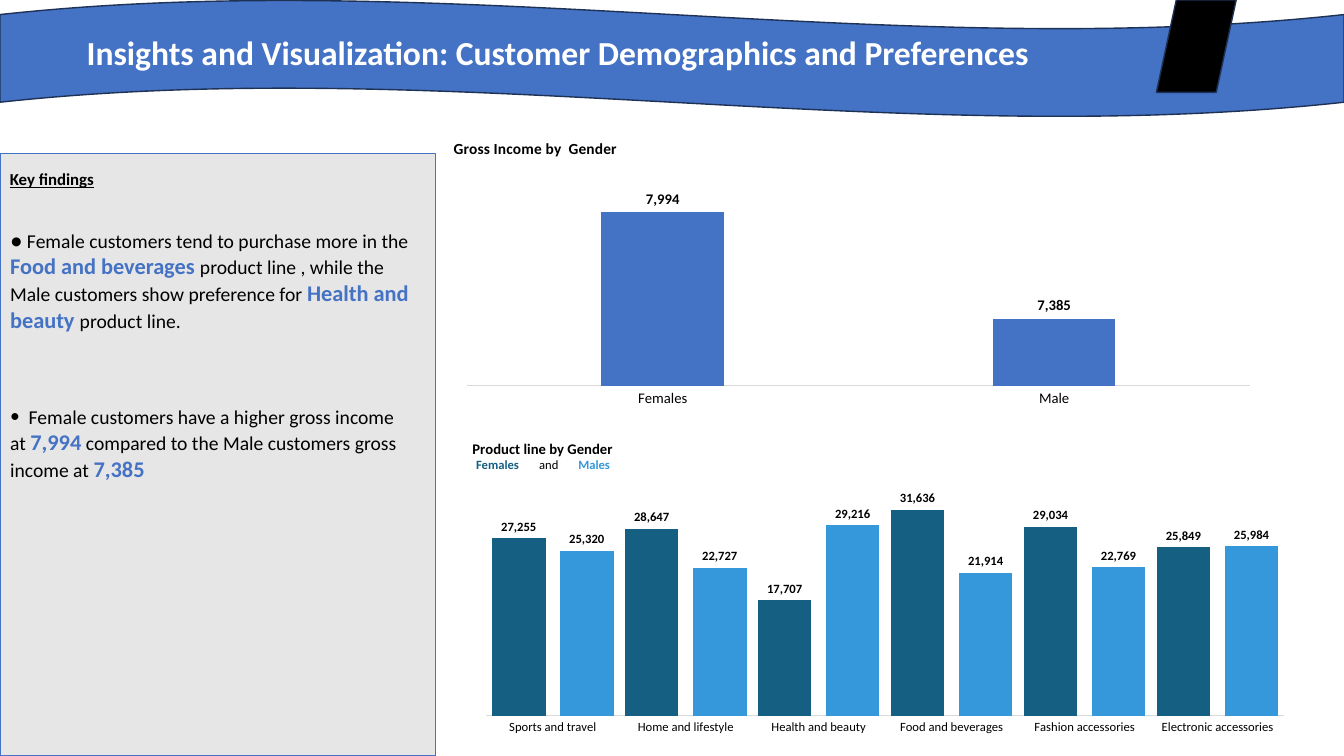
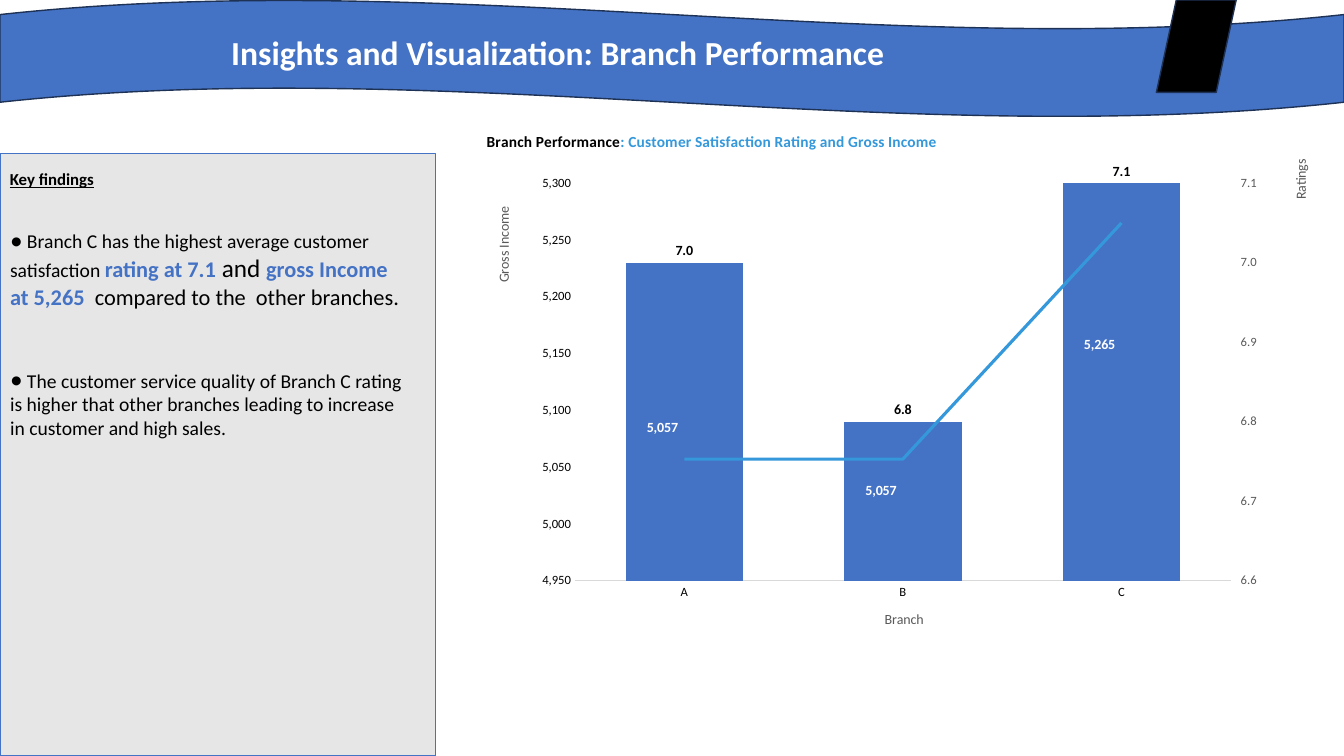
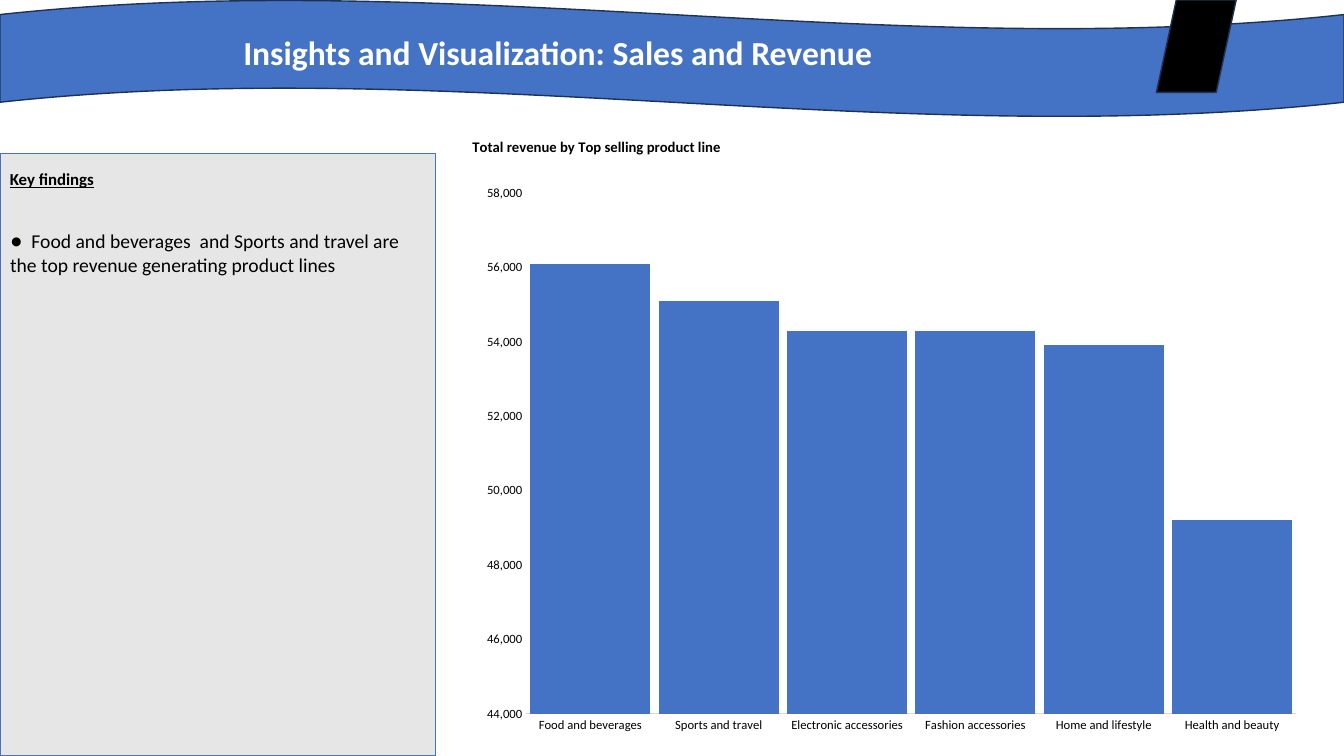
from copy import deepcopy
from dataclasses import dataclass
from typing import NamedTuple, Optional

from pptx import Presentation
from pptx.chart.axis import CategoryAxis, ValueAxis
from pptx.chart.chart import Chart
from pptx.chart.data import CategoryChartData
from pptx.dml.color import RGBColor
from pptx.enum.chart import XL_AXIS_CROSSES as Crosses
from pptx.enum.chart import XL_CHART_TYPE as ChartType
from pptx.enum.chart import XL_LABEL_POSITION as LabelPosition
from pptx.enum.chart import XL_MARKER_STYLE as MarkerStyle
from pptx.enum.chart import XL_TICK_LABEL_POSITION as TickLabelPosition
from pptx.enum.chart import XL_TICK_MARK as TickMark
from pptx.enum.shapes import MSO_SHAPE as Preset
from pptx.enum.text import MSO_ANCHOR as Anchor
from pptx.enum.text import MSO_AUTO_SIZE as AutoSize
from pptx.enum.text import PP_ALIGN as Align
from pptx.oxml import parse_xml
from pptx.oxml.ns import nsdecls, qn
from pptx.util import Pt

FONT = "Calibri"
COLORS = {
    "blue": "4472C4", "navy": "1E3256", "teal": "156082", "sky": "3498DB",
    "panel": "E7E6E6", "rule": "D9D9D9", "gray": "595959",
    "black": "000000", "white": "FFFFFF",
}


class Box(NamedTuple):
    left: float
    top: float
    width: float
    height: float

    def lengths(self) -> list:
        return [Pt(value) for value in self]


class TextRun(NamedTuple):
    text: str
    size: float = 14
    color: str = "black"
    bold: bool = False
    underline: bool = False


class Scale(NamedTuple):
    minimum: float
    maximum: float
    unit: float
    number_format: str = "#,##0"
    visible: bool = False


class Frame(NamedTuple):
    """Part of a chart, in fractions of the chart's size."""
    x: float
    y: float
    width: float
    height: float


@dataclass
class Finding:
    runs: list
    bullet_percent: int = 129
    space_before: float = 0


@dataclass
class ColumnChart:
    box: Box
    plot: Frame
    title: list
    title_at: tuple
    categories: list
    series: list
    scale: Scale
    gap: int
    colors: tuple = ("blue",)
    overlap: int = -27
    category_size: float = 9
    label_size: Optional[float] = None


def rgb(name: str) -> RGBColor:
    return RGBColor.from_string(COLORS[name])


def style_font(font, size: float, color: str = "black", bold: bool = False) -> None:
    font.name = FONT
    font.size = Pt(size)
    font.bold = bold
    font.color.rgb = rgb(color)


def write_runs(paragraph, runs: list) -> None:
    for item in runs:
        run = paragraph.add_run()
        run.text = item.text
        style_font(run.font, item.size, item.color, item.bold)
        if item.underline:
            run.font.underline = True


def add_panel(slide, preset, box: Box, fill: str, line: str) -> None:
    shape = slide.shapes.add_shape(preset, *box.lengths())
    shape.shadow.inherit = False
    shape.fill.solid()
    shape.fill.fore_color.rgb = rgb(fill)
    shape.line.color.rgb = rgb(line)
    shape.line.width = Pt(1)


def add_text(slide, box: Box, runs: list):
    text_frame = slide.shapes.add_textbox(*box.lengths()).text_frame
    text_frame.word_wrap = True
    paragraph = text_frame.paragraphs[0]
    write_runs(paragraph, runs)
    return paragraph


def place(placeholder, box: Box) -> None:
    """Move a placeholder to a box, in front of the shapes drawn so far."""
    placeholder.left, placeholder.top, placeholder.width, placeholder.height = box.lengths()
    placeholder.text_frame.word_wrap = True
    placeholder.text_frame.auto_size = AutoSize.NONE
    element = placeholder.element
    element.getparent().append(element)


def add_bullet(paragraph, percent: int) -> None:
    properties = paragraph._p.get_or_add_pPr()
    properties.set("marL", "0")
    properties.set("indent", "0")
    for xml in (
        f'<a:buClr {nsdecls("a")}><a:srgbClr val="{COLORS["black"]}"/></a:buClr>',
        f'<a:buSzPct {nsdecls("a")} val="{percent * 1000}"/>',
        f'<a:buFont {nsdecls("a")} typeface="{FONT}"/>',
        f'<a:buChar {nsdecls("a")} char="•"/>',
    ):
        properties.append(parse_xml(xml))


def add_findings_slide(presentation, title: str, findings: list):
    """Add a slide with the banner, its title and the key findings panel."""
    slide = presentation.slides.add_slide(presentation.slide_layouts[1])
    add_panel(slide, Preset.WAVE, Box(0, 0, 960, 83.5), "blue", "navy")
    add_panel(slide, Preset.PARALLELOGRAM, Box(826, 0, 57, 66), "black", "navy")
    add_panel(slide, Preset.RECTANGLE, Box(0, 109.5, 311, 430.5), "panel", "blue")
    add_text(slide, Box(0, 117, 125, 22),
             [TextRun("Key findings", 12, bold=True, underline=True)])

    heading = slide.shapes.title
    place(heading, Box(13.5, 19, 770, 36))
    heading.text_frame.text = title
    heading.text_frame.vertical_anchor = Anchor.MIDDLE
    paragraph = heading.text_frame.paragraphs[0]
    paragraph.alignment = Align.CENTER
    style_font(paragraph.runs[0].font, 24, "white", True)

    body = slide.placeholders[1]
    place(body, Box(0, 160, 301, 194))
    for index, finding in enumerate(findings):
        text_frame = body.text_frame
        paragraph = text_frame.add_paragraph() if index else text_frame.paragraphs[0]
        paragraph.space_before = Pt(finding.space_before)
        add_bullet(paragraph, finding.bullet_percent)
        write_runs(paragraph, finding.runs)
    return slide


def layout_xml(x: float, y: float, before: str = "", after: str = ""):
    return parse_xml(
        f'<c:layout {nsdecls("c")}><c:manualLayout>{before}'
        f'<c:x val="{x}"/><c:y val="{y}"/>{after}</c:manualLayout></c:layout>')


EDGE_MODES = '<c:xMode val="edge"/><c:yMode val="edge"/>'


def remove_layout(element) -> None:
    for layout in element.findall(qn("c:layout")):
        element.remove(layout)


def set_title(title, runs: list, at: tuple, vertical: bool = False) -> None:
    """Write a chart or axis title with its top left corner at a fraction of the chart."""
    write_runs(title.text_frame.paragraphs[0], runs)
    element = title.element
    if vertical:
        element.find(f'.//{qn("a:bodyPr")}').set("rot", "-5400000")
    remove_layout(element)
    element.find(qn("c:tx")).addnext(layout_xml(*at, EDGE_MODES))


def style_category_axis(axis, size: float) -> None:
    axis.major_tick_mark = TickMark.NONE
    axis.has_major_gridlines = False
    axis.format.line.color.rgb = rgb("rule")
    axis.format.line.width = Pt(0.75)
    style_font(axis.tick_labels.font, size)


def style_value_axis(axis, scale: Scale) -> None:
    axis.minimum_scale = scale.minimum
    axis.maximum_scale = scale.maximum
    axis.major_unit = scale.unit
    axis.has_major_gridlines = False
    axis.major_tick_mark = TickMark.NONE
    axis.format.line.fill.background()
    axis.tick_labels.number_format = scale.number_format
    axis.tick_labels.number_format_is_linked = False
    style_font(axis.tick_labels.font, 9)
    axis.visible = scale.visible


def show_labels(series, size: float, color: str, number_format: str, position) -> None:
    labels = series.data_labels
    labels.show_value = True
    labels.number_format = number_format
    labels.number_format_is_linked = False
    labels.position = position
    style_font(labels.font, size, color, True)


def add_column_chart(slide, model: ColumnChart) -> Chart:
    data = CategoryChartData(number_format=model.scale.number_format)
    data.categories = model.categories
    for number, values in enumerate(model.series, 1):
        data.add_series(f"Series {number}", values)
    chart = slide.shapes.add_chart(
        ChartType.COLUMN_CLUSTERED, *model.box.lengths(), data).chart
    chart.has_legend = False
    style_font(chart.font, 10)
    set_title(chart.chart_title, model.title, model.title_at)

    plot_area = chart.element.find(f'.//{qn("c:plotArea")}')
    remove_layout(plot_area)
    frame = model.plot
    plot_area.insert(0, layout_xml(
        frame.x, frame.y, '<c:layoutTarget val="inner"/>' + EDGE_MODES,
        f'<c:w val="{frame.width}"/><c:h val="{frame.height}"/>'))

    plot = chart.plots[0]
    plot.gap_width = model.gap
    plot.overlap = model.overlap
    plot.vary_by_categories = False
    for series, color in zip(plot.series, model.colors):
        series.format.fill.solid()
        series.format.fill.fore_color.rgb = rgb(color)
        if model.label_size:
            show_labels(series, model.label_size, "black",
                        model.scale.number_format, LabelPosition.OUTSIDE_END)
    style_category_axis(chart.category_axis, model.category_size)
    style_value_axis(chart.value_axis, model.scale)
    return chart


def move_last_series_to_line(chart: Chart, scale: Scale) -> ValueAxis:
    """Draw the last series as a line on a second value axis at the left."""
    plot_area = chart.element.find(f'.//{qn("c:plotArea")}')
    columns = plot_area.find(qn("c:barChart"))
    line_series = columns.findall(qn("c:ser"))[-1]
    for child in line_series.findall(qn("c:invertIfNegative")):
        line_series.remove(child)

    column_values = plot_area.find(qn("c:valAx"))
    category_axis = deepcopy(plot_area.find(qn("c:catAx")))
    value_axis = deepcopy(column_values)
    identifiers = ("50010", "50020")
    for axis, own, other in ((category_axis, *identifiers), (value_axis, *identifiers[::-1])):
        axis.find(qn("c:axId")).set("val", own)
        axis.find(qn("c:crossAx")).set("val", other)
    column_values.addnext(category_axis)
    category_axis.addnext(value_axis)

    lines = parse_xml(
        f'<c:lineChart {nsdecls("c")}><c:grouping val="standard"/><c:varyColors val="0"/>'
        '<c:marker val="1"/>'
        + "".join(f'<c:axId val="{identifier}"/>' for identifier in identifiers)
        + "</c:lineChart>")
    lines.insert(2, line_series)
    columns.addnext(lines)

    second_category = CategoryAxis(category_axis)
    second_category.visible = False
    second_category.crosses = Crosses.MINIMUM
    second_value = ValueAxis(value_axis)
    style_value_axis(second_value, scale)
    return second_value


def add_branch_chart(slide) -> None:
    chart = add_column_chart(slide, ColumnChart(
        box=Box(345.5, 85.5, 593, 378.5), plot=Frame(0.11, 0.12, 0.79, 0.75),
        title=[TextRun("Branch Performance", 11, bold=True),
               TextRun(": Customer Satisfaction Rating and Gross Income", 11, "sky", True)],
        title_at=(0, 0.015), categories=["A", "B", "C"],
        series=[(7.0, 6.8, 7.1), (5057, 5057, 5265)],
        scale=Scale(6.6, 7.1, 0.1, "#,##0.0", True),
        gap=86, overlap=0, label_size=10))
    rating_axis = chart.value_axis
    income_axis = move_last_series_to_line(chart, Scale(4950, 5300, 50, visible=True))
    rating_axis.tick_label_position = TickLabelPosition.HIGH
    style_font(rating_axis.tick_labels.font, 9, "gray")
    for axis, text, at, vertical in (
        (rating_axis, "Ratings", (0.97, 0.07), True),
        (income_axis, "Gross Income", (0.01, 0.16), True),
        (chart.category_axis, "Branch", (0.48, 0.92), False),
    ):
        set_title(axis.axis_title, [TextRun(text, 10, "gray")], at, vertical)

    income = chart.plots[1].series[0]
    income.smooth = False
    income.marker.style = MarkerStyle.NONE
    income.format.line.color.rgb = rgb("sky")
    income.format.line.width = Pt(2.25)
    show_labels(income, 10, "white", "#,##0", LabelPosition.RIGHT)
    label_drops = (-0.06, 0.06, 0.23)
    for index in range(len(label_drops)):
        label = income.points[index].data_label
        style_font(label.font, 10, "white", True)
        label.position = LabelPosition.RIGHT
    line_chart = chart.element.find(f'.//{qn("c:lineChart")}')
    for label, drop in zip(line_chart.iter(qn("c:dLbl")), label_drops):
        label.find(qn("c:idx")).addnext(layout_xml(-0.05, drop))
    for leader_lines in line_chart.iter(qn("c:showLeaderLines")):
        leader_lines.set("val", "0")


def add_gender_key(slide) -> None:
    paragraph = add_text(slide, Box(333, 323, 130, 18), [
        TextRun("Females", 9, "teal", True), TextRun("\tand", 9),
        TextRun("\tMales", 9, "sky", True)])
    stops = "".join(f'<a:tab pos="{Pt(stop)}" algn="l"/>' for stop in (45, 73))
    paragraph._p.get_or_add_pPr().append(
        parse_xml(f'<a:tabLst {nsdecls("a")}>{stops}</a:tabLst>'))


def highlight(text: str) -> TextRun:
    return TextRun(text, 16, "blue", True)


def main() -> None:
    presentation = Presentation()
    presentation.slide_width, presentation.slide_height = Pt(960), Pt(540)

    demographics = add_findings_slide(
        presentation, "Insights and Visualization: Customer Demographics and Preferences", [
            Finding([TextRun(" Female customers tend to purchase more in the "),
                     highlight("Food and beverages "),
                     TextRun("product line , while the Male customers show preference for "),
                     highlight("Health and beauty "), TextRun("product line.")]),
            Finding([TextRun("  Female customers have a higher gross income at "),
                     highlight("7,994"),
                     TextRun(" compared to the Male customers gross income at "),
                     highlight("7,385")], bullet_percent=100, space_before=51)])
    add_column_chart(demographics, ColumnChart(
        box=Box(322, 93.5, 582.5, 202.5), plot=Frame(0.02, 0.16, 0.96, 0.74),
        title=[TextRun("Gross Income by  Gender", 11, bold=True)], title_at=(0, 0.015),
        categories=["Females", "Male"], series=[(7994, 7385)],
        scale=Scale(7000, 8200, 200), gap=219, category_size=10.5, label_size=10.5))
    add_column_chart(demographics, ColumnChart(
        box=Box(335.5, 306, 593.5, 223), plot=Frame(0.02, 0.19, 0.96, 0.73),
        title=[TextRun("Product line by Gender", 10.5, bold=True)], title_at=(0, 0.025),
        categories=["Sports and travel", "Home and lifestyle", "Health and beauty",
                    "Food and beverages", "Fashion accessories", "Electronic accessories"],
        series=[(27255, 28647, 17707, 31636, 29034, 25849),
                (25320, 22727, 29216, 21914, 22769, 25984)],
        scale=Scale(0, 35000, 5000), gap=21, colors=("teal", "sky"), label_size=9))
    add_gender_key(demographics)

    branches = add_findings_slide(
        presentation, "Insights and Visualization: Branch Performance", [
            Finding([TextRun(" Branch C has the highest average customer satisfaction "),
                     highlight("rating at 7.1"), TextRun(" and ", 18),
                     highlight("gross Income at 5,265  "),
                     TextRun("compared to the  other branches.", 16)]),
            Finding([TextRun(" The customer service quality of Branch C rating is higher that "
                             "other branches leading to increase in customer and high sales.")],
                    space_before=42)])
    add_branch_chart(branches)

    revenue = add_findings_slide(
        presentation, "Insights and Visualization: Sales and Revenue", [
            Finding([TextRun("  Food and beverages  and Sports and travel are the top "
                             "revenue generating product lines")])])
    add_column_chart(revenue, ColumnChart(
        box=Box(335.5, 91.5, 602.5, 441.5), plot=Frame(0.067, 0.105, 0.913, 0.843),
        title=[TextRun("Total revenue by Top selling product line", 10.5, bold=True)],
        title_at=(0, 0.01),
        categories=["Food and beverages", "Sports and travel", "Electronic accessories",
                    "Fashion accessories", "Home and lifestyle", "Health and beauty"],
        series=[(56100, 55100, 54300, 54300, 53900, 49200)],
        scale=Scale(44000, 58000, 2000, visible=True), gap=7))

    presentation.save("out.pptx")


if __name__ == "__main__":
    main()
